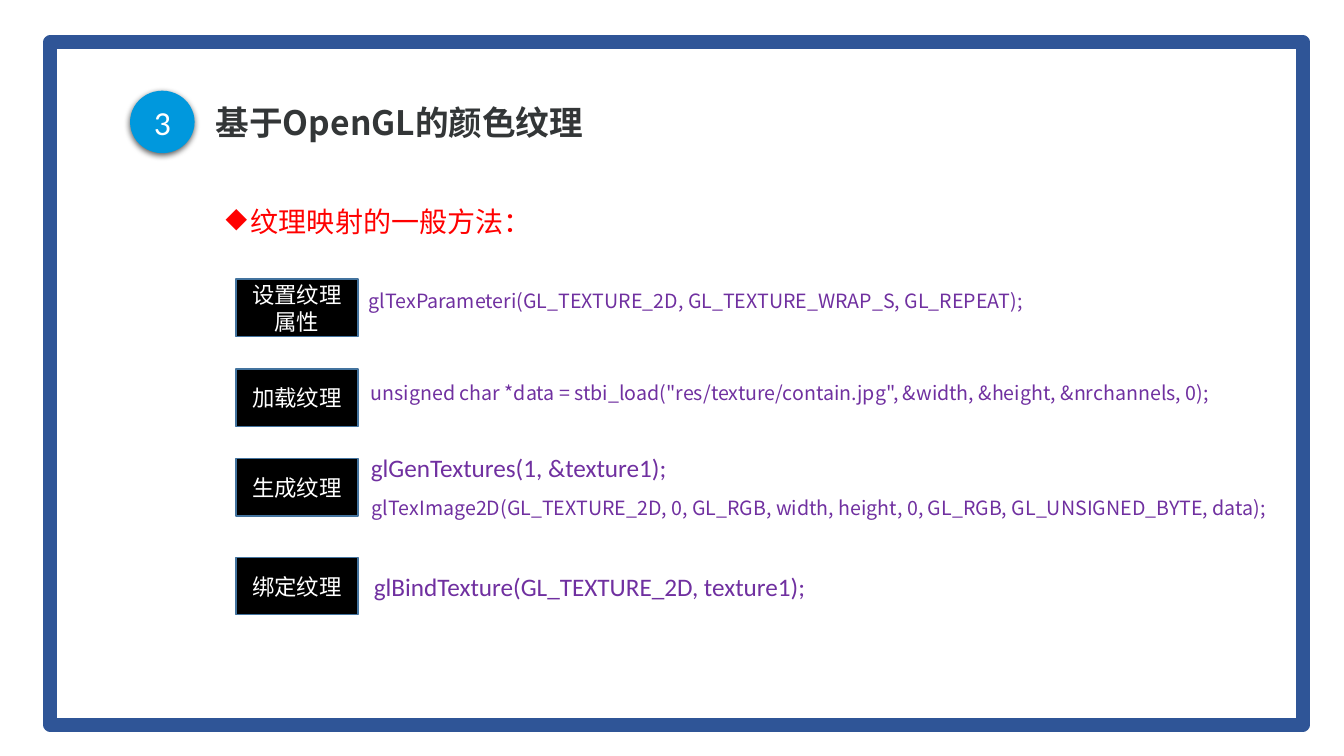
from lxml import etree
from pptx import Presentation, util as u
from pptx.dml.color import RGBColor
from pptx.enum import shapes, text
from pptx.oxml import parse_xml
from pptx.oxml.ns import nsdecls, qn

CJK, LATIN = "Noto Sans CJK SC", "Calibri"
PURPLE, WHITE = "7030A0", "FFFFFF"
STEP_WIDTH, STEP_HEIGHT, STEP_PITCH = 1.21, 0.57, 0.89

# Each step: label, then its lines of code as (code, left, top, size, font)
STEPS = [
    ("设置纹理属性", [
        ("glTexParameteri(GL_TEXTURE_2D, GL_TEXTURE_WRAP_S, GL_REPEAT);", 1.22, 0.05, 14, CJK)]),
    ("加载纹理", [
        ('unsigned char *data = stbi_load("res/texture/contain.jpg", &width, &height, &nrchannels, 0);',
         1.24, 0.07, 14, CJK)]),
    ("生成纹理", [
        ("glGenTextures(1, &texture1);", 1.24, -0.11, 18, LATIN),
        ("glTexImage2D(GL_TEXTURE_2D, 0, GL_RGB, width, height, 0, GL_RGB, GL_UNSIGNED_BYTE, data);",
         1.25, 0.32, 14, CJK)]),
    ("绑定纹理", [
        ("glBindTexture(GL_TEXTURE_2D, texture1);", 1.27, 0.09, 18, LATIN)]),
]


def color(value):
    return RGBColor.from_string(value)


def write(box, words, size=16, font=CJK, ink=WHITE, bold=False, wrap=True,
          align=text.PP_ALIGN.LEFT, anchor=text.MSO_ANCHOR.TOP, spacing=None):
    """Fill a shape with one formatted paragraph and return it."""
    frame = box.text_frame
    frame.word_wrap, frame.vertical_anchor = wrap, anchor
    para = frame.paragraphs[0]
    para.alignment, para.line_spacing = align, spacing
    span = para.add_run()
    span.text = words
    span.font.size, span.font.bold, span.font.name = u.Pt(size), bold, font
    span.font.color.rgb = color(ink)
    east_asian = etree.SubElement(span.font._element, qn("a:ea"))
    east_asian.set("typeface", font)
    return para


def add_box(page, kind, area, fill=None, line=None, width=1):
    box = page.shapes.add_shape(kind, *map(u.Inches, area))
    box.shadow.inherit = False
    if fill:
        box.fill.solid()
        box.fill.fore_color.rgb = color(fill)
    else:
        box.fill.background()
    if line:
        box.line.color.rgb, box.line.width = color(line), u.Pt(width)
    else:
        box.line.fill.background()
    return box


def add_text(page, area, words, **style):
    return write(page.shapes.add_textbox(*map(u.Inches, area)), words, **style)


def draw_frame(page, left, top, width, height):
    # Translucent panel inside a thick border
    inset = 0.08
    panel = add_box(page, shapes.MSO_SHAPE.RECTANGLE,
                    (left + inset, top + inset, width - 2 * inset, height - 2 * inset), WHITE)
    paint = panel.fill._xPr.find(qn("a:solidFill"))[0]
    etree.SubElement(paint, qn("a:alpha")).set("val", "86000")
    add_box(page, shapes.MSO_SHAPE.RECTANGLE, (left, top, width, height), line="2F5597", width=10)


def draw_heading(page, left, top):
    # Numbered disc with a soft shadow
    disc = add_box(page, shapes.MSO_SHAPE.OVAL, (left, top, 0.64, 0.62), "0098DD")
    write(disc, "3", size=24, font=LATIN, align=text.PP_ALIGN.CENTER,
          anchor=text.MSO_ANCHOR.MIDDLE)
    effects = disc._element.spPr.find(qn("a:effectLst"))
    effects.append(parse_xml(
        f'<a:outerShdw {nsdecls("a")} blurRad="{u.Pt(4.5)}" dist="{u.Pt(1.5)}" dir="5400000">'
        '<a:srgbClr val="000000"><a:alpha val="63000"/></a:srgbClr></a:outerShdw>'))

    # Title, brought in front of the panel
    title = page.shapes.title
    title.left, title.top = u.Inches(left + 0.75), u.Inches(top + 0.03)
    title.width, title.height = u.Inches(8.35), u.Inches(0.61)
    write(title, "基于OpenGL的颜色纹理", size=24, ink="333637", bold=True,
          anchor=text.MSO_ANCHOR.MIDDLE, spacing=0.9)
    page.shapes._spTree.append(title._element)


def draw_topic(page, left, top):
    para = add_text(page, (left, top, 9.63, 5.12), "纹理映射的一般方法：",
                    size=20, ink="FF0000", spacing=1.5)
    layout = para._p.get_or_add_pPr()
    layout.set("marL", str(u.Inches(0.75)))
    layout.set("indent", str(u.Inches(-0.25)))
    etree.SubElement(layout, qn("a:buChar")).set("char", "◆")


def draw_step(page, left, top, label, codes):
    box = add_box(page, shapes.MSO_SHAPE.RECTANGLE, (left, top, STEP_WIDTH, STEP_HEIGHT),
                  "000000", "43739E")
    write(box, label, align=text.PP_ALIGN.CENTER, anchor=text.MSO_ANCHOR.MIDDLE)
    for code, shift, drop, size, font in codes:
        add_text(page, (left + shift, top + drop, 9.31, 0.34), code,
                 size=size, font=font, ink=PURPLE)


def main():
    deck = Presentation()
    deck.slide_width, deck.slide_height = u.Inches(13.33), u.Inches(7.5)
    page = deck.slides.add_slide(deck.slide_layouts[5])
    draw_frame(page, 0.5, 0.42, 12.42, 6.77)
    draw_heading(page, 1.29, 0.9)
    draw_topic(page, 1.64, 1.81)
    for index, (label, codes) in enumerate(STEPS):
        # The last step stands a little apart
        gap = 0.09 if index == len(STEPS) - 1 else 0
        draw_step(page, 2.34, 2.77 + index * STEP_PITCH + gap, label, codes)
    deck.save("out.pptx")


if __name__ == "__main__":
    main()
